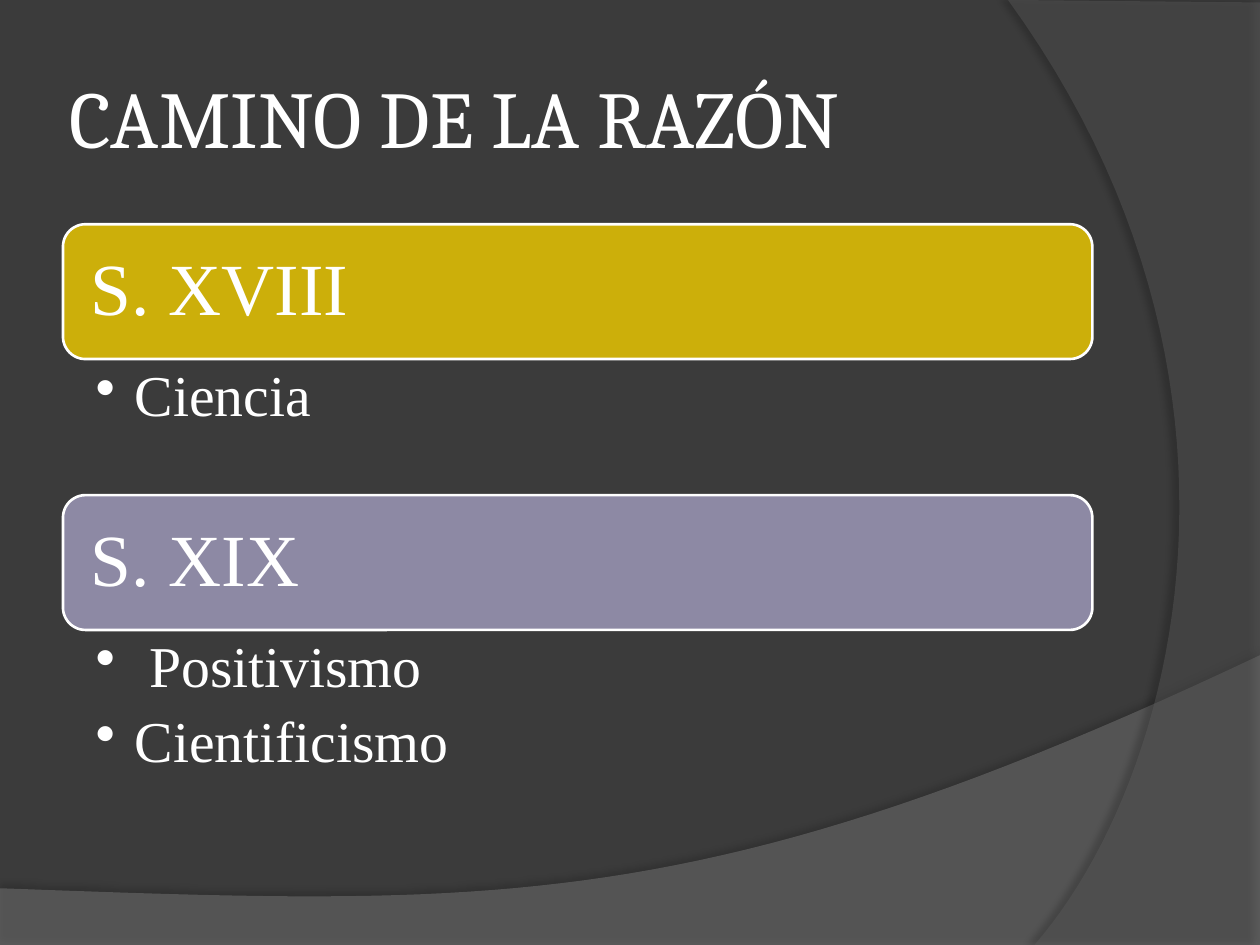
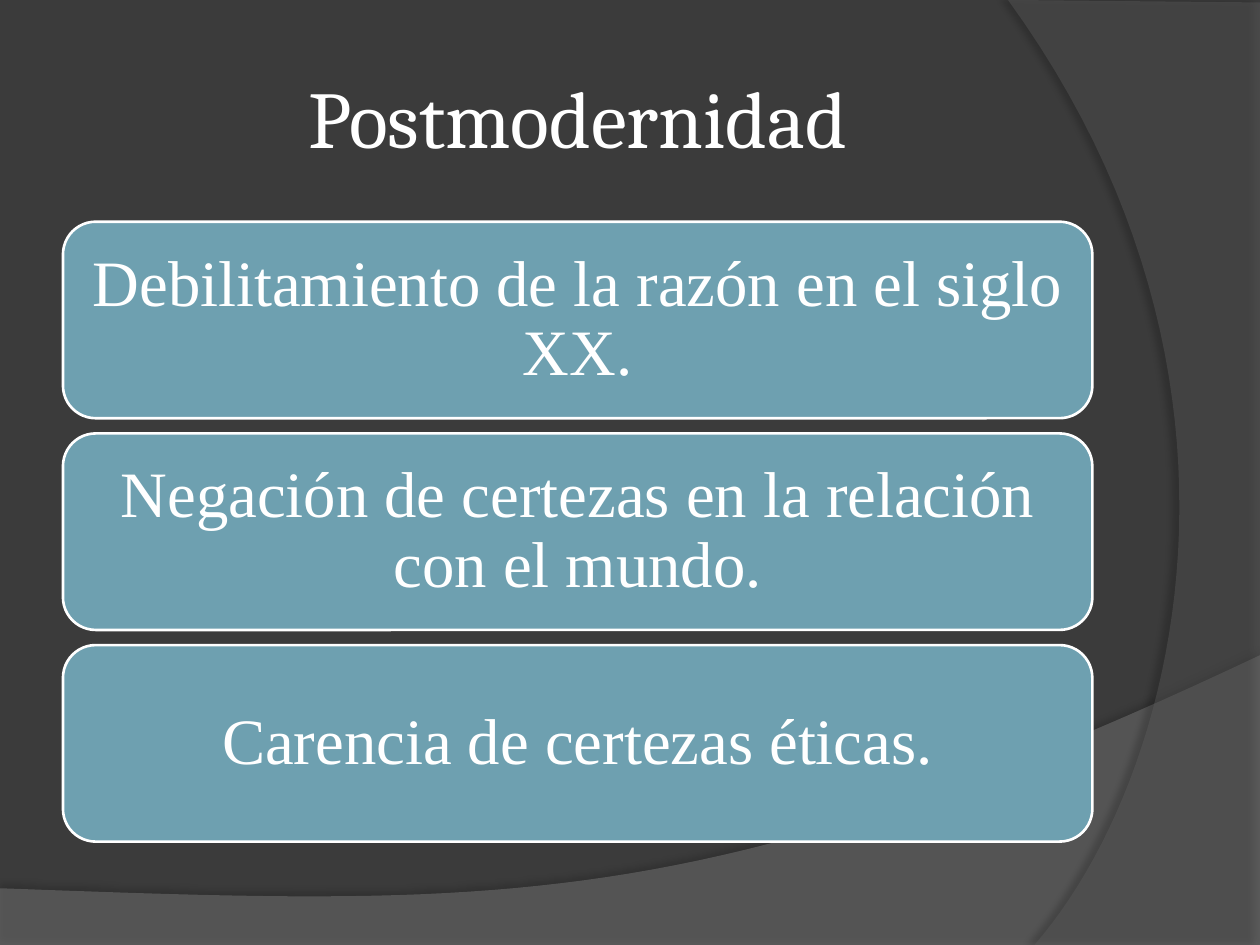
from lxml import etree
from pptx import Presentation
from pptx.dml.color import RGBColor
from pptx.enum.shapes import MSO_SHAPE
from pptx.enum.text import MSO_ANCHOR, PP_ALIGN
from pptx.oxml.ns import qn
from pptx.util import Inches, Pt

ROUNDED = MSO_SHAPE.ROUNDED_RECTANGLE
TOP, MIDDLE = MSO_ANCHOR.TOP, MSO_ANCHOR.MIDDLE
LEFT, CENTER = PP_ALIGN.LEFT, PP_ALIGN.CENTER

BACKGROUND, WHITE = "3B3B3B", "FFFFFF"
GOLD, LILAC, TEAL = "CCAF0A", "8D89A4", "6EA0B0"
TITLE_FONT, BODY_FONT = "Cambria", "Times New Roman"
MARGIN, WIDTH = 0.5, 8.17


def rgb(color):
    return RGBColor.from_string(color)


def add_xml(parent, tag, **attributes):
    return etree.SubElement(parent, qn(tag), attributes)


def bezier(p0, p1, p2, p3, steps=48):
    """Points along a cubic curve, without its start."""
    points = []
    for i in range(1, steps + 1):
        t = i / steps
        u = 1 - t
        weights = (u ** 3, 3 * u * u * t, 3 * u * t * t, t ** 3)
        points.append(tuple(sum(w * p[axis] for w, p in zip(weights, (p0, p1, p2, p3)))
                            for axis in (0, 1)))
    return points


class Deck:
    def __init__(self):
        self.prs = Presentation()
        self.prs.slide_width, self.prs.slide_height = Inches(10), Inches(7.5)
        self.s = None

    def slide(self, title, align=LEFT):
        self.s = self.prs.slides.add_slide(self.prs.slide_layouts[6])
        fill = self.s.background.fill
        fill.solid()
        fill.fore_color.rgb = rgb(BACKGROUND)
        # Translucent curves behind the content
        self.curve([(0, 7.05), (0, 7.51), (10, 7.51), (10, 5.2)]
                   + bezier((10, 5.2), (5.59, 7.29), (3.91, 7.19), (0, 7.05)),
                   "7F7F7F", 45, shadow_alpha=35, distance=3.5, direction=270)
        self.curve([(10, 0.02), (10, 7.5), (8.21, 7.5)]
                   + bezier((8.21, 7.5), (9.35, 6.19), (10.18, 3), (8, 0)),
                   "5E5E5E", 40, shadow_alpha=45, distance=4, direction=180)
        sp = self.s.shapes.add_textbox(Inches(MARGIN), Inches(0.3), Inches(WIDTH), Inches(1.25))
        self.text(sp, [title], 46, (0.05,) * 4, MIDDLE, align, TITLE_FONT, spacing=1)

    def curve(self, points, color, alpha, shadow_alpha, distance, direction):
        points = [(Inches(x), Inches(y)) for x, y in points]
        builder = self.s.shapes.build_freeform(*points[0], scale=1.0)
        builder.add_line_segments(points[1:], close=True)
        sp = builder.convert_to_shape()
        sp.fill.solid()
        sp.fill.fore_color.rgb = rgb(color)
        sp.line.fill.background()
        fill_color = sp.fill._xPr.find(qn("a:solidFill"))[0]
        add_xml(fill_color, "a:alpha", val=str(alpha * 1000))
        # Soft shadow along the edge
        sp.shadow.inherit = False
        effects = sp.element.spPr.find(qn("a:effectLst"))
        shadow = add_xml(effects, "a:outerShdw", blurRad=str(Pt(4)), dist=str(Pt(distance)),
                         dir=str(direction * 60000), algn="ctr", rotWithShape="0")
        shadow_color = add_xml(shadow, "a:srgbClr", val="000000")
        add_xml(shadow_color, "a:alpha", val=str(shadow_alpha * 1000))

    def text(self, sp, lines, size, insets, anchor, align, font=BODY_FONT, spacing=0.9):
        tf = sp.text_frame
        tf.word_wrap = True
        tf.vertical_anchor = anchor
        tf.margin_left, tf.margin_top, tf.margin_right, tf.margin_bottom = map(Inches, insets)
        for i, line in enumerate(lines):
            p = tf.add_paragraph() if i else tf.paragraphs[0]
            p.text = line
            p.alignment = align
            p.line_spacing = spacing
            p.font.name, p.font.size = font, Pt(size)
            p.font.color.rgb = rgb(WHITE)
        return tf

    def band(self, label, top, height, color, size, inset, align=LEFT):
        sp = self.s.shapes.add_shape(ROUNDED, Inches(MARGIN), Inches(top),
                                     Inches(WIDTH), Inches(height))
        sp.shadow.inherit = False
        sp.fill.solid()
        sp.fill.fore_color.rgb = rgb(color)
        sp.line.color.rgb = rgb(WHITE)
        sp.line.width = Pt(1.5)
        self.text(sp, [label], size, (inset,) * 4, MIDDLE, align)

    def bullets(self, items, top, height):
        sp = self.s.shapes.add_textbox(Inches(MARGIN), Inches(top), Inches(WIDTH), Inches(height))
        tf = self.text(sp, items, 33, (0.26, 0.06, 0.33, 0.06), TOP, LEFT)
        for p in tf.paragraphs:
            p.space_after = Pt(7.5)
            pPr = p._p.get_or_add_pPr()
            pPr.set("marL", str(Inches(0.31)))
            pPr.set("indent", str(-Inches(0.31)))
            bullet = etree.Element(qn("a:buChar"), {"char": "•"})
            pPr.find(qn("a:defRPr")).addprevious(bullet)


def main():
    deck = Deck()

    # Centuries with their currents of thought
    deck.slide("CAMINO DE LA RAZÓN")
    band_height = 1.07
    centuries = [("S. XVIII", GOLD, 1.78, ["Ciencia"], 1.07),
                 ("S. XIX", LILAC, 3.93, [" Positivismo", "Cientificismo"], 1.66)]
    for label, color, top, currents, list_height in centuries:
        deck.band(label, top, band_height, color, 42, 0.17)
        deck.bullets(currents, top + band_height, list_height)

    # Traits of postmodernity
    deck.slide("Postmodernidad", CENTER)
    traits = ["Debilitamiento de la razón en el siglo XX.",
              "Negación de certezas en la relación con el mundo.",
              "Carencia de certezas éticas."]
    for i, trait in enumerate(traits):
        deck.band(trait, 1.76 + i * 1.68, 1.56, TEAL, 37, 0.15, CENTER)

    deck.prs.save("out.pptx")


if __name__ == "__main__":
    main()
